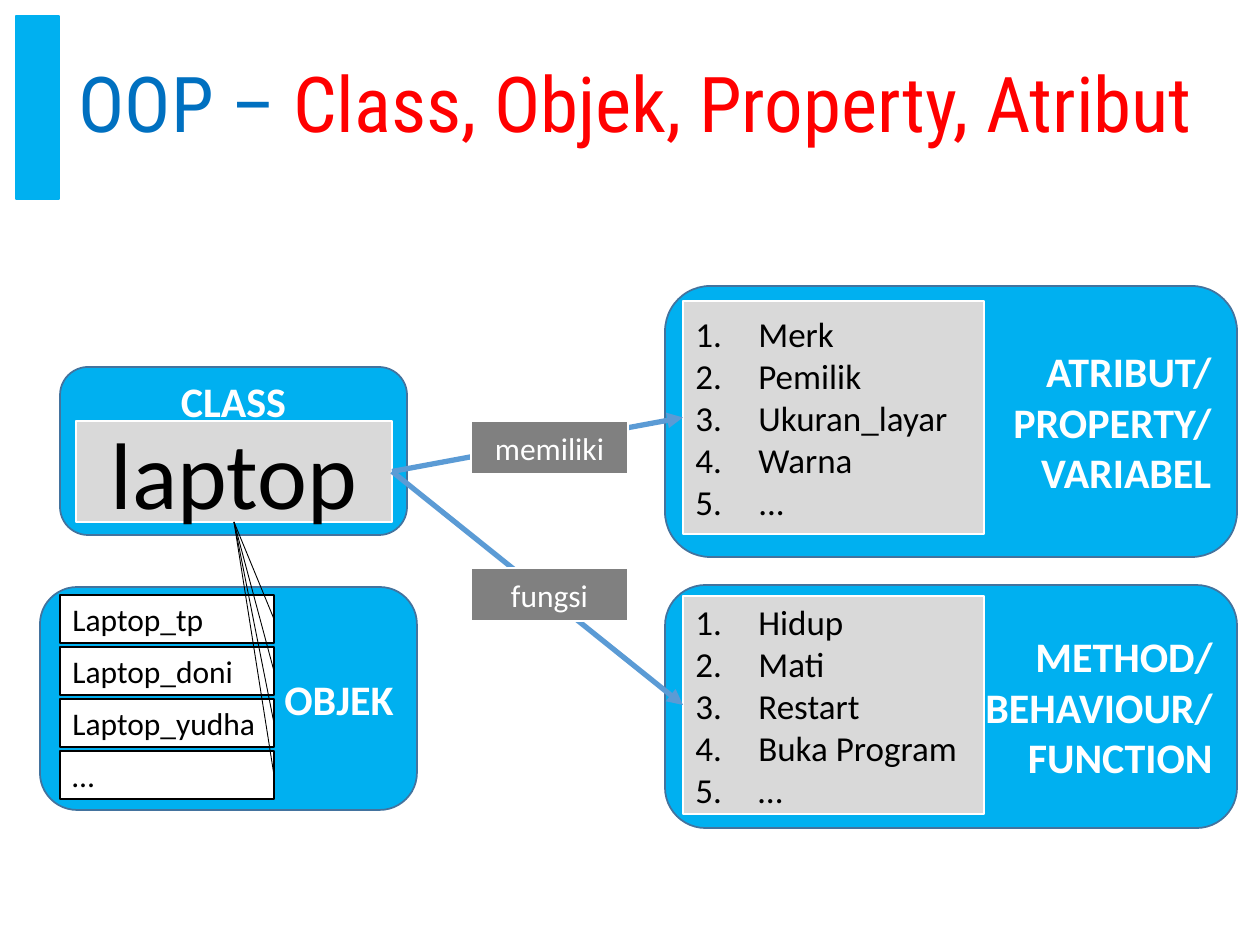
from lxml.etree import SubElement
from pptx import Presentation
from pptx.dml.color import RGBColor
from pptx.enum.shapes import MSO_CONNECTOR, MSO_SHAPE
from pptx.enum.text import MSO_ANCHOR, MSO_AUTO_SIZE, PP_ALIGN
from pptx.oxml.ns import qn
from pptx.util import Emu, Pt

PX_PER_INCH = 126
TOP, LEFT, BOTTOM, RIGHT = range(4)
SKY, STEEL, ARROW = "00B0F0", "43739E", "5B9BD5"
WHITE, BLACK, LIGHT_GRAY, GRAY = "FFFFFF", "000000", "D9D9D9", "808080"


def px(length):
    return Emu(round(length * 914400 / PX_PER_INCH))


def color(hex_code):
    return RGBColor.from_string(hex_code)


def add_title(slide, parts):
    title = slide.shapes.title
    title.left, title.top, title.width, title.height = map(px, (66, 16, 1147, 183))
    frame = title.text_frame
    frame.auto_size = MSO_AUTO_SIZE.NONE
    frame.vertical_anchor = MSO_ANCHOR.MIDDLE
    heading = frame.paragraphs[0]
    heading.alignment = PP_ALIGN.LEFT
    heading.line_spacing = 0.9
    heading.font.size = Pt(44)
    heading.font.name = "Roboto Condensed"
    for text, hex_code in parts:
        run = heading.add_run()
        run.text = text
        run.font.color.rgb = color(hex_code)


def add_box(slide, box, fill, line, line_width, lines=(), size=18, ink=BLACK,
            align=PP_ALIGN.LEFT, bold=False, kind=MSO_SHAPE.RECTANGLE):
    shape = slide.shapes.add_shape(kind, *map(px, box))
    shape.shadow.inherit = False
    shape.fill.solid()
    shape.fill.fore_color.rgb = color(fill)
    shape.line.color.rgb = color(line)
    shape.line.width = Pt(line_width)
    frame = shape.text_frame
    frame.word_wrap = True
    frame.vertical_anchor = MSO_ANCHOR.MIDDLE
    for index, text in enumerate(lines):
        paragraph = frame.add_paragraph() if index else frame.paragraphs[0]
        paragraph.text = text
        paragraph.alignment = align
        paragraph.font.size = Pt(size)
        paragraph.font.name = "Calibri"
        paragraph.font.bold = bold
        paragraph.font.color.rgb = color(ink)
    return shape


def add_panel(slide, box, lines, align=PP_ALIGN.RIGHT):
    return add_box(slide, box, SKY, STEEL, 1, lines, 24, WHITE, align, True,
                   MSO_SHAPE.ROUNDED_RECTANGLE)


def add_numbered_list(slide, box, items):
    members = add_box(slide, box, LIGHT_GRAY, WHITE, 1.5, items, 20)
    indent = px(63)
    for paragraph in members.text_frame.paragraphs:
        properties = paragraph._p.get_or_add_pPr()
        properties.set("marL", str(indent))
        properties.set("indent", str(-indent))
        SubElement(properties, qn("a:buAutoNum"), type="arabicPeriod")
    return members


def add_link(slide, source, source_side, target, target_side, hex_code, width, arrow=False):
    link = slide.shapes.add_connector(MSO_CONNECTOR.STRAIGHT, 0, 0, 0, 0)
    link.begin_connect(source, source_side)
    link.end_connect(target, target_side)
    link.line.color.rgb = color(hex_code)
    link.line.width = Pt(width)
    if arrow:
        SubElement(link.line._get_or_add_ln(), qn("a:tailEnd"), type="triangle")
    SubElement(link._element.spPr, qn("a:effectLst"))


def main():
    presentation = Presentation()
    presentation.slide_width, presentation.slide_height = px(1260), px(945)
    slide = presentation.slides.add_slide(presentation.slide_layouts[5])

    add_box(slide, (16, 16, 43, 183), SKY, SKY, 1)
    add_title(slide, [("OOP – ", "0070C0"), ("Class, Objek, Property, Atribut", "FF0000")])

    add_panel(slide, (40, 587, 377, 223), ["OBJEK"])
    add_panel(slide, (665, 585, 572, 243), ["METHOD/", "BEHAVIOUR/", "FUNCTION"])
    add_panel(slide, (665, 286, 572, 271), ["ATRIBUT/", "PROPERTY/", "VARIABEL"])
    class_panel = add_panel(slide, (60, 367, 347, 168), ["CLASS"], PP_ALIGN.CENTER)
    class_panel.text_frame.vertical_anchor = MSO_ANCHOR.TOP
    class_panel.text_frame.margin_top = 0

    attributes = add_numbered_list(slide, (683, 301, 301, 233),
                                   ["Merk", "Pemilik", "Ukuran_layar", "Warna", "..."])
    methods = add_numbered_list(slide, (683, 596, 301, 218),
                                ["Hidup", "Mati", "Restart", "Buka Program", "…"])
    laptop = add_box(slide, (76, 421, 316, 101), LIGHT_GRAY, WHITE, 1.5, ["laptop"], 54,
                     align=PP_ALIGN.CENTER)

    for relation, top, members in (("memiliki", 421, attributes), ("fungsi", 568, methods)):
        add_link(slide, laptop, RIGHT, members, LEFT, ARROW, 3, arrow=True)
        add_box(slide, (471, top, 157, 53), GRAY, WHITE, 1.5, [relation], 18, WHITE,
                PP_ALIGN.CENTER)

    names = ["Laptop_tp", "Laptop_doni", "Laptop_yudha", "…"]
    instances = [add_box(slide, (60, 595 + 52 * row, 214, 48), WHITE, BLACK, 1, [name])
                 for row, name in enumerate(names)]
    for instance in instances:
        add_link(slide, laptop, BOTTOM, instance, RIGHT, BLACK, 0.5)

    presentation.save("out.pptx")


if __name__ == "__main__":
    main()
